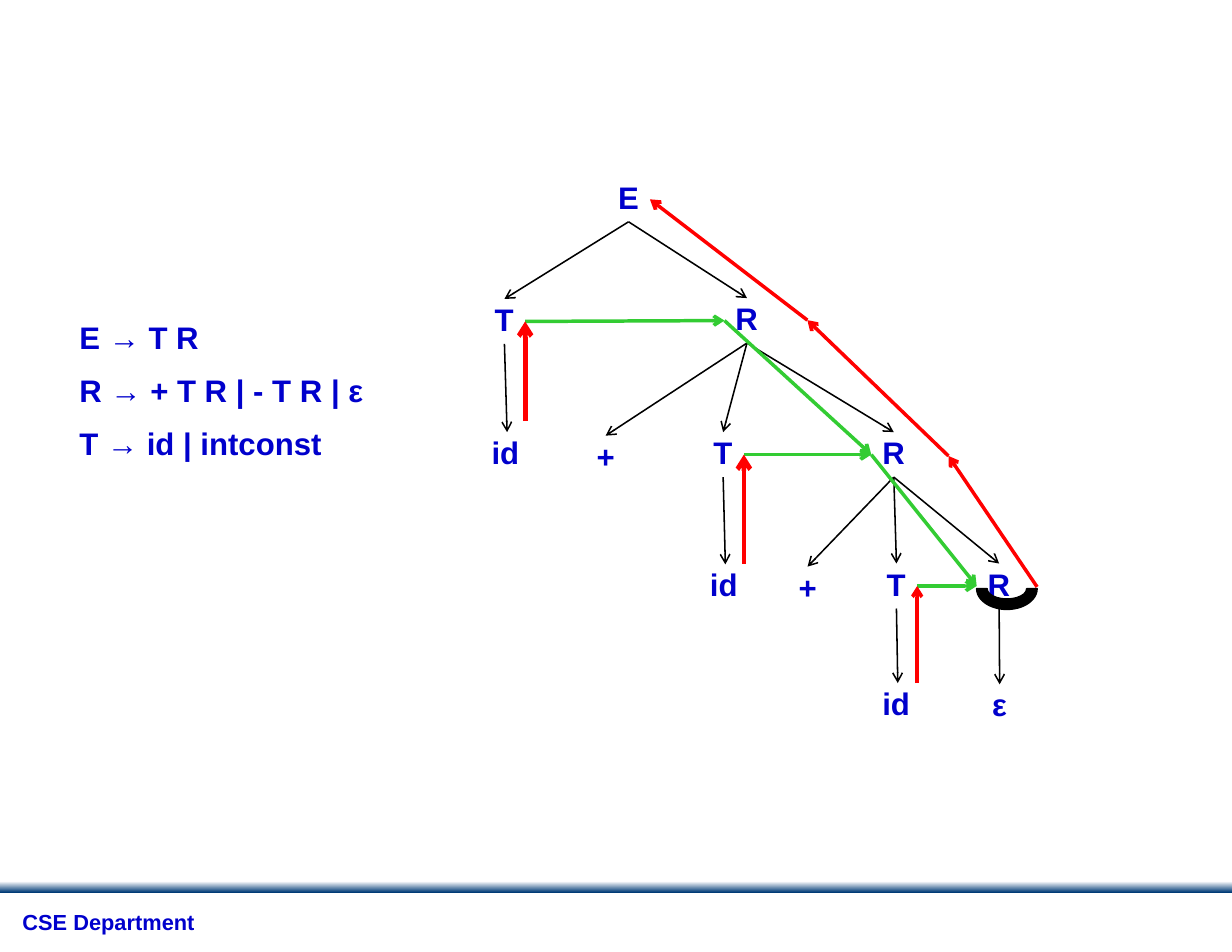
from pptx import Presentation
from pptx import util as u
from pptx.dml.color import RGBColor
from pptx.enum import shapes, text
from pptx.oxml.ns import qn
from lxml import etree

BLUE, BLACK, GREEN, RED = "0000CC", "000000", "33CC33", "FF0000"
TOP, LEFT, BOTTOM, RIGHT = range(4)
NODE_HEIGHT = 1.02
NODE_WIDTHS = {"E": 0.97, "T": 0.94, "R": 1.02, "+": 0.91, "id": 1.2, "ε": 0.84}

NODES = {
    "root": ("E", 13.77, 4.01),
    "T1": ("T", 10.97, 6.78),
    "R1": ("R", 16.43, 6.76),
    "plus1": ("+", 13.28, 9.88),
    "T2": ("T", 15.93, 9.8),
    "R2": ("R", 19.76, 9.8),
    "plus2": ("+", 17.86, 12.85),
    "T3": ("T", 19.86, 12.78),
    "R3": ("R", 22.15, 12.78),
    "id1": ("id", 10.9, 9.8),
    "id2": ("id", 15.85, 12.8),
    "id3": ("id", 19.76, 15.49),
    "epsilon": ("ε", 22.25, 15.52),
}
CHILDREN = {
    "root": ["T1", "R1"],
    "T1": ["id1"],
    "R1": ["plus1", "T2", "R2"],
    "T2": ["id2"],
    "R2": ["plus2", "T3", "R3"],
    "T3": ["id3"],
    "R3": ["epsilon"],
}
INHERITED = [
    ("T1", RIGHT, "R1"),
    ("R1", LEFT, "R2"),
    ("T2", RIGHT, "R2"),
    ("R2", LEFT, "R3"),
    ("T3", RIGHT, "R3"),
]
SYNTHESIZED = [("T1", 9.55, 3), ("T2", 12.78, 3), ("T3", 15.49, 2.25)]
RETURN_POINTS = [(23.52, 13.31), (21.51, 10.34), (18.31, 7.26), (14.73, 4.55)]
GRAMMAR = ["E → T R", "R → + T R | - T R | ε", "T → id | intconst"]


def color(value):
    return RGBColor.from_string(value)


def place(shape, left, top, width, height):
    shape.left, shape.top = u.Cm(left), u.Cm(top)
    shape.width, shape.height = u.Cm(width), u.Cm(height)


def set_margins(frame, side, end):
    frame.margin_left = frame.margin_right = u.Cm(side)
    frame.margin_top = frame.margin_bottom = u.Cm(end)


def write(paragraph, content, size, before=0):
    paragraph.line_spacing = 0.9
    paragraph.space_before = u.Pt(before)
    run = paragraph.add_run()
    run.text = content
    run.font.name = "Arial"
    run.font.size = u.Pt(size)
    run.font.bold = True
    run.font.color.rgb = color(BLUE)


def add_label(slide, content, left, top, width, height, size=20, margins=(0.25, 0.13)):
    label = slide.shapes.add_textbox(*map(u.Cm, (left, top, width, height)))
    frame = label.text_frame
    frame.word_wrap = False
    frame.auto_size = text.MSO_AUTO_SIZE.NONE
    set_margins(frame, *margins)
    write(frame.paragraphs[0], content, size)
    return label


def add_arrow(slide, line_color, width, start=(0, 0), end=(0, 0)):
    arrow = slide.shapes.add_connector(
        shapes.MSO_CONNECTOR.STRAIGHT, *map(u.Cm, (*start, *end))
    )
    arrow.line.color.rgb = color(line_color)
    arrow.line.width = u.Pt(width)
    etree.SubElement(arrow.line._get_or_add_ln(), qn("a:tailEnd"), type="arrow")
    etree.SubElement(arrow._element.spPr, qn("a:effectLst"))
    return arrow


def join(slide, line_color, width, source, source_side, target, target_side):
    arrow = add_arrow(slide, line_color, width)
    arrow.begin_connect(source, source_side)
    arrow.end_connect(target, target_side)


def add_footer(slide):
    bar = slide.shapes.add_shape(
        shapes.MSO_SHAPE.RECTANGLE, *map(u.Cm, (0, 19.99, 27.94, 0.25))
    )
    bar.shadow.inherit = False
    bar.line.fill.background()
    bar.fill.gradient()
    bar.fill.gradient_angle = 270
    for stop, value in zip(bar.fill.gradient_stops, ("FFFFFF", "003B76")):
        stop.color.rgb = color(value)
    add_label(slide, "CSE Department", 0.23, 20.52, 4.47, 0.81, 14, (0.28, 0.15))


def add_grammar(slide):
    body = slide.placeholders[1]
    place(body, 1.55, 7.19, 7.14, 4.62)
    frame = body.text_frame
    frame.word_wrap = False
    frame.auto_size = text.MSO_AUTO_SIZE.NONE
    frame.vertical_anchor = text.MSO_ANCHOR.TOP
    set_margins(frame, 0.25, 0.13)
    for index, rule in enumerate(GRAMMAR):
        paragraph = frame.add_paragraph() if index else frame.paragraphs[0]
        properties = paragraph._p.get_or_add_pPr()
        properties.set("marL", "0")
        properties.set("indent", "0")
        etree.SubElement(properties, qn("a:buNone"))
        write(paragraph, rule, 20, 12.5 if index else 0)


def add_tree(slide):
    nodes = {
        name: add_label(slide, symbol, left, top, NODE_WIDTHS[symbol], NODE_HEIGHT)
        for name, (symbol, left, top) in NODES.items()
    }
    for parent, children in CHILDREN.items():
        for child in children:
            join(slide, BLACK, 1, nodes[parent], BOTTOM, nodes[child], TOP)
    return nodes


def add_attribute_flow(slide, nodes):
    for source, side, target in INHERITED:
        join(slide, GREEN, 2.25, nodes[source], side, nodes[target], LEFT)
    for name, bottom, width in SYNTHESIZED:
        symbol, left, top = NODES[name]
        x = left + NODE_WIDTHS[symbol]
        arrow = add_arrow(slide, RED, width, (x, bottom), (x, top))
        arrow.end_connect(nodes[name], RIGHT)
    for start, end in zip(RETURN_POINTS, RETURN_POINTS[1:]):
        arrow = add_arrow(slide, RED, 2.25, start, end)
    arrow.end_connect(nodes["root"], RIGHT)


def add_turn(slide):
    turn = slide.shapes.add_shape(
        shapes.MSO_SHAPE.BLOCK_ARC, *map(u.Cm, (22.15, 12.88, 1.37, 0.94))
    )
    turn.rotation = 180
    turn.shadow.inherit = False
    turn.fill.solid()
    turn.fill.fore_color.rgb = color(BLACK)
    turn.line.color.rgb = color(BLACK)
    turn.line.width = u.Pt(1)


def main():
    presentation = Presentation()
    presentation.slide_width, presentation.slide_height = u.Cm(27.94), u.Cm(21.59)
    slide = presentation.slides.add_slide(presentation.slide_layouts[1])
    title = slide.shapes.title._element
    title.getparent().remove(title)
    add_footer(slide)
    add_grammar(slide)
    nodes = add_tree(slide)
    add_attribute_flow(slide, nodes)
    add_turn(slide)
    presentation.save("out.pptx")


if __name__ == "__main__":
    main()
